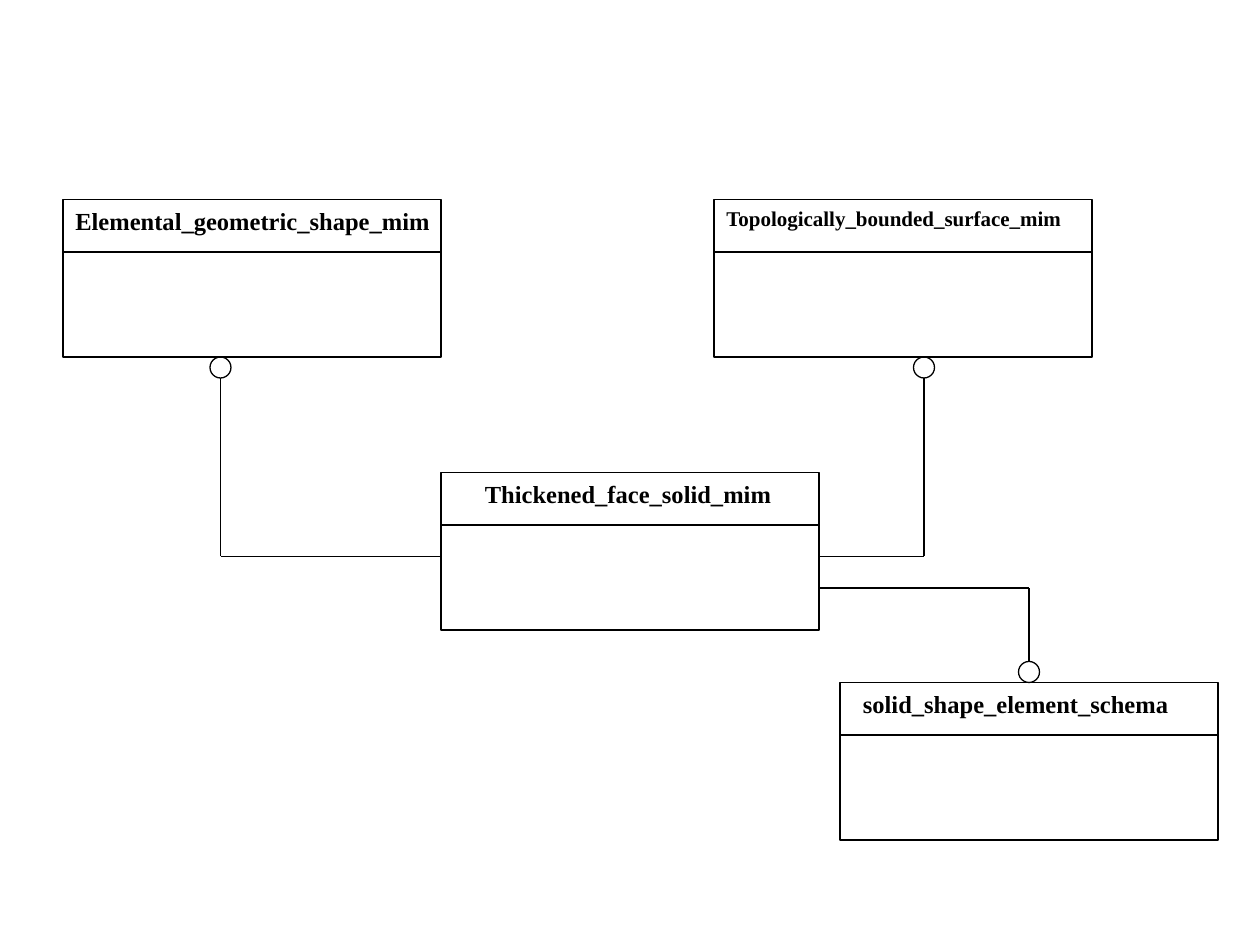
from dataclasses import dataclass

from lxml.etree import SubElement
from pptx import Presentation
from pptx.dml.color import RGBColor
from pptx.enum.shapes import MSO_CONNECTOR as CONN, MSO_SHAPE as SHAPE
from pptx.enum.text import MSO_AUTO_SIZE as AUTO, MSO_ANCHOR as ANCHOR, PP_ALIGN as ALIGN
from pptx.oxml.ns import qn
from pptx.util import Pt

PX = 9525
BOX_W, BOX_H, HEADER_H = 288, 120, 40
DOT = 16


@dataclass(frozen=True)
class Theme:
    ink: RGBColor = RGBColor(0, 0, 0)
    font: str = "Times New Roman"
    title: int = 14
    small_title: int = 12
    line: float = 0.75


class Diagram:
    def __init__(self, slide, theme):
        self.s = slide
        self.theme = theme

    def stroke(self, item):
        item.line.color.rgb = self.theme.ink
        item.line.width = Pt(self.theme.line)

    def outline(self, kind, x, y, w, h):
        sp = self.s.shapes.add_shape(kind, x * PX, y * PX, w * PX, h * PX)
        sp.shadow.inherit = False
        sp.fill.background()
        self.stroke(sp)

    def line(self, x1, y1, x2, y2):
        cx = self.s.shapes.add_connector(CONN.STRAIGHT, x1 * PX, y1 * PX, x2 * PX, y2 * PX)
        SubElement(cx._element.spPr, qn("a:effectLst"))
        self.stroke(cx)

    def label(self, text, x, y, w, h, size):
        tf = self.s.shapes.add_textbox(x * PX, y * PX, w * PX, h * PX).text_frame
        tf.word_wrap = False
        tf.auto_size = AUTO.SHAPE_TO_FIT_TEXT
        tf.vertical_anchor = ANCHOR.TOP
        p = tf.paragraphs[0]
        p.alignment = ALIGN.LEFT
        r = p.add_run()
        r.text = text
        r.font.name = self.theme.font
        r.font.size = Pt(size)
        r.font.bold = True
        r.font.color.rgb = self.theme.ink

    def schema(self, text, x, y, indent, text_w, text_h, size):
        self.outline(SHAPE.RECTANGLE, x, y, BOX_W, BOX_H)
        self.line(x, y + HEADER_H, x + BOX_W, y + HEADER_H)
        self.label(text, x + indent, y, text_w, text_h, size)

    def reference(self, x, dot_y, line_y, side_x):
        self.outline(SHAPE.OVAL, x - DOT // 2, dot_y, DOT, DOT)
        start_y = dot_y + DOT if line_y > dot_y else dot_y
        self.line(x, start_y, x, line_y)
        self.line(x, line_y, side_x, line_y)


def main():
    prs = Presentation()
    prs.slide_width, prs.slide_height = 960 * PX, 720 * PX
    theme = Theme()
    d = Diagram(prs.slides.add_slide(prs.slide_layouts[6]), theme)

    solid_x, solid_y = 336, 360
    upper_y, lower_y = 152, 520
    solid_right = solid_x + BOX_W
    d.schema("Thickened_face_solid_mim", solid_x, solid_y, 24, 240, 33, theme.title)
    d.schema("Elemental_geometric_shape_mim", 48, upper_y, 0, 292, 33, theme.title)
    d.schema("Topologically_bounded_surface_mim", 544, upper_y, 0, 278, 29, theme.small_title)
    d.schema("solid_shape_element_schema", 640, lower_y, 8, 254, 33, theme.title)

    upper_dot_y = upper_y + BOX_H
    d.reference(168, upper_dot_y, solid_y + 64, solid_x)
    d.reference(704, upper_dot_y, solid_y + 64, solid_right)
    d.reference(784, lower_y - DOT, solid_y + 88, solid_right)

    prs.save("out.pptx")


if __name__ == "__main__":
    main()
